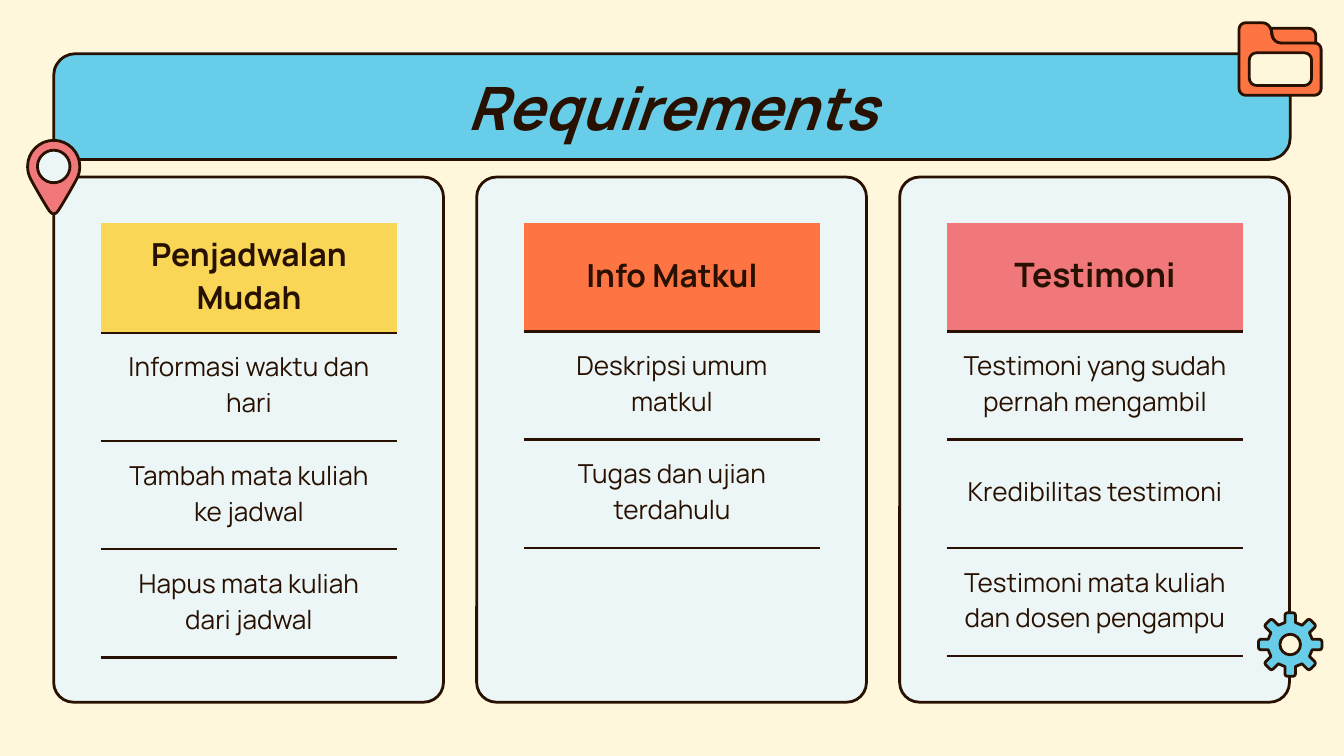
from math import cos, dist, radians, sin

from lxml.etree import SubElement
from pptx import Presentation
from pptx.dml.color import RGBColor
from pptx.enum.shapes import MSO_SHAPE as Shape
from pptx.enum.text import MSO_ANCHOR as Anchor, MSO_AUTO_SIZE as AutoSize, PP_ALIGN as Align
from pptx.oxml.ns import qn
from pptx.util import Pt

CREAM = RGBColor(0xFF, 0xF7, 0xDC)
INK = RGBColor(0x28, 0x11, 0x01)
ICE = RGBColor(0xED, 0xF6, 0xF7)
BLUE = RGBColor(0x68, 0xCD, 0xE9)
YELLOW = RGBColor(0xF9, 0xD6, 0x56)
ORANGE = RGBColor(0xFE, 0x74, 0x43)
PINK = RGBColor(0xF0, 0x78, 0x7A)
FONT = "Manrope"
LINE = 1.5
ROUND = 0.55  # control point share for a quarter circle
NO_STYLE = "{2D5ABB26-0587-4C30-8999-92F81FD0307C}"

TITLE = "Requirements"
COLUMNS = [
    ("Penjadwalan Mudah", 17, YELLOW,
     ["Informasi waktu dan hari", "Tambah mata kuliah ke jadwal", "Hapus mata kuliah dari jadwal"]),
    ("Info Matkul", 17, ORANGE,
     ["Deskripsi umum matkul", "Tugas dan ujian terdahulu"]),
    ("Testimoni", 18, PINK,
     ["Testimoni yang sudah pernah mengambil", "Kredibilitas testimoni",
      "Testimoni mata kuliah dan dosen pengampu"]),
]

# Icon corners: x, y, corner radius
FOLDER_FRONT = [(663.8, 12.2, 3.6), (680.3, 12.2, 4), (682.2, 23, 4),
                (707.8, 23, 3.6), (707.8, 51.1, 3.6), (663.8, 51.1, 3.6)]
FOLDER_BACK = [(681, 15.1, 0), (704.9, 15.1, 4), (704.9, 23, 0), (682.2, 23, 4)]
FOLDER_LABEL = [(669.3, 28.3, 3.8), (702.6, 28.3, 3.8), (702.6, 45.8, 3.8), (669.3, 45.8, 3.8)]
PIN_CENTER = (28.8, 89.2)
# Right half of the pin as curve points around its centre, from top to tip
PIN_HALF = [(0, -14), (7.7, -14), (14, -7.7), (14, 0), (14, 2.4), (13.4, 4.7), (12.4, 6.6),
            (11.2, 9), (4, 21.6), (2.2, 24), (1.6, 24.9), (0.8, 25.4), (0, 25.4)]
GEAR_CENTER, GEAR_TEETH = (691.2, 345.3), 8
GEAR_TOOTH = [(-2.8, 11.8, 0), (-2.8, 17, 1.2), (2.8, 17, 1.2), (2.8, 11.8, 0)]

CARD_LEFT, CARD_TOP, CARD_WIDTH, CARD_HEIGHT, CARD_PITCH = 28.8, 94.9, 208.8, 281.3, 226.6
TABLE_INSET, TABLE_WIDTH, TABLE_TOP, ROW_HEIGHT = 25.2, 158.8, 119.5, 58


def paint(shape, fill):
    shape.shadow.inherit = False
    shape.fill.solid()
    shape.fill.fore_color.rgb = fill
    shape.line.color.rgb = INK
    shape.line.width = Pt(LINE)


def add_panel(left, top, width, height, fill, radius):
    panel = slide.shapes.add_shape(Shape.ROUNDED_RECTANGLE, Pt(left), Pt(top), Pt(width), Pt(height))
    panel.adjustments[0] = radius / min(width, height)
    paint(panel, fill)


def between(start, end, share):
    return tuple(a + (b - a) * share for a, b in zip(start, end))


def curves(points):
    """Split a run of curve points into a start and three-point segments."""
    return [points[:1]] + [points[i:i + 3] for i in range(1, len(points), 3)]


def circle(center, radius):
    x, y = center
    bend = radius * ROUND
    quarter = [(0, -radius), (bend, -radius), (radius, -bend)]
    points = []
    for _ in range(4):
        points += [(x + dx, y + dy) for dx, dy in quarter]
        quarter = [(-dy, dx) for dx, dy in quarter]
    return curves(points + points[:1])


def rounded(corners):
    """Turn corners with radii into line (one point) and curve (three points) segments."""
    segments = []
    for index, (x, y, radius) in enumerate(corners):
        corner = (x, y)
        if not radius:
            segments.append([corner])
            continue
        before, after = corners[index - 1][:2], corners[(index + 1) % len(corners)][:2]
        start, end = [between(corner, other, min(radius / dist(corner, other), 0.5))
                      for other in (before, after)]
        segments += [[start], [between(start, corner, ROUND), between(end, corner, ROUND), end]]
    return segments


def add_outline(fill, *contours):
    """Draw closed contours; the first one sets the bounds."""
    ends = [tuple(Pt(v) for v in segment[-1]) for segment in contours[0]]
    builder = slide.shapes.build_freeform(*ends[0])
    builder.add_line_segments(ends[1:], close=True)
    shape = builder.convert_to_shape()
    outline = next(shape._element.iter(qn("a:path")))
    for child in list(outline):
        outline.remove(child)
    for contour in contours:
        for index, segment in enumerate(contour):
            tag = "a:moveTo" if index == 0 else "a:cubicBezTo" if len(segment) == 3 else "a:lnTo"
            step = SubElement(outline, qn(tag))
            for x, y in segment:
                SubElement(step, qn("a:pt"), x=str(Pt(x) - shape.left), y=str(Pt(y) - shape.top))
        SubElement(outline, qn("a:close"))
    paint(shape, fill)


def add_text(frame, text, size, bold=False, italic=False):
    para = frame.paragraphs[0]
    para.alignment = Align.CENTER
    span = para.add_run()
    span.text = text
    font = span.font
    font.name, font.size, font.bold, font.italic = FONT, Pt(size), bold, italic
    font.color.rgb = INK


def add_bottom_border(cell):
    props = cell._tc.get_or_add_tcPr()
    border = SubElement(props, qn("a:lnB"), w=str(Pt(LINE)))
    fill = SubElement(border, qn("a:solidFill"))
    SubElement(fill, qn("a:srgbClr"), val=str(INK))
    props.insert(0, border)


def add_column(left, heading, heading_size, color, items):
    rows = [heading] + items
    holder = slide.shapes.add_table(len(rows), 1, Pt(left), Pt(TABLE_TOP),
                                    Pt(TABLE_WIDTH), Pt(ROW_HEIGHT * len(rows)))
    table = holder.table
    table.first_row = table.horz_banding = False
    table._tbl.tblPr.find(qn("a:tableStyleId")).text = NO_STYLE
    for index, text in enumerate(rows):
        is_heading = index == 0
        table.rows[index].height = Pt(ROW_HEIGHT)
        cell = table.cell(index, 0)
        cell.vertical_anchor = Anchor.MIDDLE
        cell.margin_left = cell.margin_right = cell.margin_bottom = Pt(7.2)
        cell.margin_top = Pt(5)
        if is_heading:
            cell.fill.solid()
            cell.fill.fore_color.rgb = color
        else:
            cell.fill.background()
        add_text(cell.text_frame, text, heading_size if is_heading else 14, bold=is_heading)
        add_bottom_border(cell)


deck = Presentation()
deck.slide_width, deck.slide_height = Pt(720), Pt(405)
slide = deck.slides.add_slide(deck.slide_layouts[5])
slide.background.fill.solid()
slide.background.fill.fore_color.rgb = CREAM

card_lefts = [CARD_LEFT + CARD_PITCH * index for index in range(len(COLUMNS))]
for left in card_lefts:
    add_panel(left, CARD_TOP, CARD_WIDTH, CARD_HEIGHT, ICE, 10.6)
add_panel(CARD_LEFT, 28.8, 662.4, 56.7, BLUE, 11.6)

pin_x, pin_y = PIN_CENTER
pin_loop = PIN_HALF + [(-x, y) for x, y in PIN_HALF[-2::-1]]
add_outline(PINK, curves([(pin_x + x, pin_y + y) for x, y in pin_loop]))
add_outline(ICE, circle(PIN_CENTER, 8.7))

for corners, color in ((FOLDER_FRONT, ORANGE), (FOLDER_BACK, ORANGE), (FOLDER_LABEL, CREAM)):
    add_outline(color, rounded(corners))

gear_x, gear_y = GEAR_CENTER
hub = slide.shapes.add_shape(Shape.OVAL, Pt(gear_x - 7.9), Pt(gear_y - 7.9), Pt(15.8), Pt(15.8))
paint(hub, CREAM)
hub.line.fill.background()
gear = []
for tooth in range(GEAR_TEETH):
    turn = radians(360 / GEAR_TEETH * tooth)
    gear += [(gear_x + across * cos(turn) + out * sin(turn),
              gear_y + across * sin(turn) - out * cos(turn), radius)
             for across, out, radius in GEAR_TOOTH]
add_outline(BLUE, rounded(gear), circle(GEAR_CENTER, 5.5))

title = slide.shapes.title
title.left, title.top, title.width, title.height = Pt(56.7), Pt(30.6), Pt(607), Pt(46.8)
frame = title.text_frame
frame.auto_size, frame.word_wrap, frame.vertical_anchor = AutoSize.NONE, True, Anchor.TOP
frame.margin_left = frame.margin_right = frame.margin_top = frame.margin_bottom = Pt(7.2)
add_text(frame, TITLE, 32, bold=True, italic=True)
slide.shapes._spTree.append(title._element)

for left, column in zip(card_lefts, COLUMNS):
    add_column(left + TABLE_INSET, *column)

deck.save("out.pptx")
